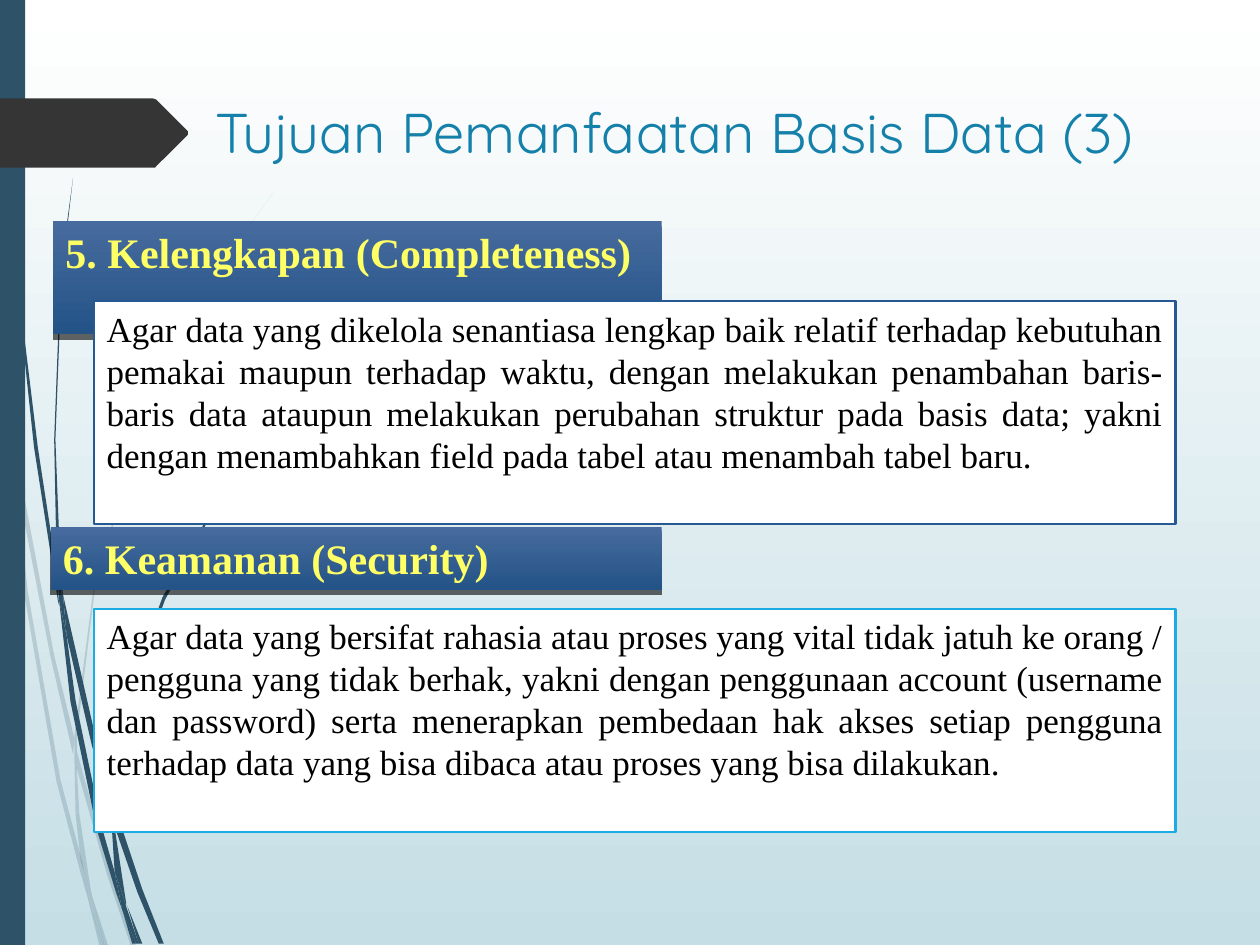
import dataclasses

import lxml.etree
import pptx
import pptx.dml.color
import pptx.enum.shapes
import pptx.enum.text
import pptx.oxml.ns
import pptx.util

Cm = pptx.util.Cm
ALIGN = pptx.enum.text.PP_ALIGN


@dataclasses.dataclass(frozen=True)
class Theme:
    sky: tuple = ("FFFFFF", "C5DEE5")
    banner: tuple = ("476B9E", "235387")
    stem: str = "2E5369"
    tag: str = "353535"
    title: str = "1581AA"
    heading: str = "FFFF66"
    body: str = "000000"
    paper: str = "FFFFFF"
    navy: str = "265991"
    cyan: str = "1CACE3"
    shadow: str = "000000"
    title_font: str = "Quicksand"
    text_font: str = "Times New Roman"
    title_size: int = 32
    heading_size: int = 24
    body_size: int = 20
    border: float = 1.25


THEME = Theme()
OUTLINE_UNIT = Cm(0.0254)

PALE_STEMS = (
    "8,350 6,322 0,282 0,299 7,344",
    "40,521 58,599 59,586 43,520 10,345 12,376",
    "64,607 61,596 61,610 85,694 104,751 108,751 88,692",
    "83,751 86,751 73,711",
    "65,683 48,619 22,469 12,376 8,350 19,470 45,621 64,693 70,714 69,707",
    "59,599 60,646 64,683 67,692 73,711 72,706 63,646 61,610 61,608",
    "61,584 76,462 111,349 159,245 186,198 201,175 217,153 201,175 186,197 "
    "158,244 110,348 75,461 59,584 59,586 61,596",
    "70,714 79,751 82,751",
    "61,608 61,610 61,596 59,586 59,599",
    "67,692 65,683 69,707 70,714 82,751 83,751 73,711",
)
DARK_STEMS = (
    "5,110 14,233 27,355 46,477 47,481 45,457 45,453 30,355 15,232 6,109 "
    "4,48 3,0 2,0 3,48",
    "73,592 88,645 88,633 88,631 77,590 50,472 53,505",
    "94,649 91,641 91,656 109,708 126,749 130,749 113,706",
    "91,692 81,657 60,556 53,505 47,477 56,557 77,659 92,708 97,722 96,717",
    "50,472 48,453 44,349 48,245 52,193 58,141 51,193 47,245 43,349 45,449 "
    "49,471",
    "110,749 113,749 101,719",
    "47,477 53,505 50,472 49,472 45,449 45,453",
    "91,633 103,552 131,476 169,406 191,374 203,359 216,344 203,358 191,373 "
    "168,405 129,474 101,551 88,631 91,641",
    "97,722 105,749 108,749",
    "88,645 91,692 96,706 100,719 100,716 91,657 90,651",
    "96,706 91,692 96,717 97,722 108,749 110,749 100,719",
)
TAG_OUTLINE = "149,107 124,132 123,133 121,133 0,133 0,78 121,78 124,79 149,104"

COMPLETENESS = (
    "Agar data yang dikelola senantiasa lengkap baik relatif terhadap kebutuhan "
    "pemakai maupun terhadap waktu, dengan melakukan penambahan baris-baris data "
    "ataupun melakukan perubahan struktur pada basis data; yakni dengan "
    "menambahkan field pada tabel atau menambah tabel baru."
)
SECURITY = (
    "Agar data yang bersifat rahasia atau proses yang vital tidak jatuh ke orang / "
    "pengguna yang tidak berhak, yakni dengan penggunaan account (username dan "
    "password) serta menerapkan pembedaan hak akses setiap pengguna terhadap data "
    "yang bisa dibaca atau proses yang bisa dilakukan."
)


def rgb(value):
    return pptx.dml.color.RGBColor.from_string(value)


def add_element(parent, tag, **attributes):
    return lxml.etree.SubElement(parent, pptx.oxml.ns.qn(tag), attributes)


def fill_solid(shape, color):
    shape.fill.solid()
    shape.fill.fore_color.rgb = rgb(color)
    shape.line.fill.background()
    shape.shadow.inherit = False


def fill_gradient(fill, colors):
    fill.gradient()
    fill.gradient_angle = 270
    for stop, color in zip(fill.gradient_stops, colors):
        stop.color.rgb = rgb(color)


def add_outline(shapes, outline, color, opacity=100):
    points = [tuple(map(int, pair.split(","))) for pair in outline.split()]
    builder = shapes.build_freeform(*points[0], scale=OUTLINE_UNIT)
    builder.add_line_segments(points[1:], close=True)
    shape = builder.convert_to_shape()
    fill_solid(shape, color)
    if opacity < 100:
        paint = shape._element.spPr.find(".//" + pptx.oxml.ns.qn("a:srgbClr"))
        add_element(paint, "a:alpha", val=str(opacity * 1000))


def add_stems(page, outlines, opacity):
    group = page.shapes.add_group_shape()
    for outline in outlines:
        add_outline(group.shapes, outline, THEME.stem, opacity)


def add_rectangle(page, left, top, width, height, color):
    kind = pptx.enum.shapes.MSO_SHAPE.RECTANGLE
    box = page.shapes.add_shape(kind, Cm(left), Cm(top), Cm(width), Cm(height))
    fill_solid(box, color)
    return box


def write_text(box, text, font, size, color, bold=False, align=ALIGN.LEFT):
    frame = box.text_frame
    frame.word_wrap = True
    frame.vertical_anchor = pptx.enum.text.MSO_ANCHOR.TOP
    paragraph = frame.paragraphs[0]
    paragraph.text = text
    paragraph.alignment = align
    paragraph.font.name = font
    paragraph.font.size = pptx.util.Pt(size)
    paragraph.font.bold = bold
    paragraph.font.color.rgb = rgb(color)


def add_title(page, text):
    box = page.shapes.add_textbox(Cm(4.09), Cm(1.85), Cm(20.68), Cm(3.56))
    write_text(box, text, THEME.title_font, THEME.title_size, THEME.title)


def add_heading(page, text, left, top, width, height):
    box = add_rectangle(page, left, top, width, height, THEME.banner[0])
    fill_gradient(box.fill, THEME.banner)
    effects = box._element.spPr.find(pptx.oxml.ns.qn("a:effectLst"))
    shadow = add_element(effects, "a:outerShdw", blurRad="0",
                         dist=str(pptx.util.Pt(3)), dir="5400000",
                         algn="ctr", rotWithShape="0")
    paint = add_element(shadow, "a:srgbClr", val=THEME.shadow)
    add_element(paint, "a:alpha", val="60000")
    write_text(box, text, THEME.text_font, THEME.heading_size, THEME.heading, bold=True)


def add_body(page, text, top, border):
    box = add_rectangle(page, 1.9, top, 21.8, 4.5, THEME.paper)
    box.line.color.rgb = rgb(border)
    box.line.width = pptx.util.Pt(THEME.border)
    write_text(box, text, THEME.text_font, THEME.body_size, THEME.body,
               align=ALIGN.JUSTIFY)


def main():
    deck = pptx.Presentation()
    deck.slide_width = Cm(25.4)
    deck.slide_height = Cm(19.05)
    page = deck.slides.add_slide(deck.slide_layouts[6])
    fill_gradient(page.background.fill, THEME.sky)

    add_stems(page, PALE_STEMS, 20)
    add_stems(page, DARK_STEMS, 100)
    add_rectangle(page, 0, 0, 0.51, 19.05, THEME.stem)
    add_outline(page.shapes, TAG_OUTLINE, THEME.tag)

    add_title(page, "Tujuan Pemanfaatan Basis Data (3)")
    add_heading(page, "5. Kelengkapan (Completeness)", 1.07, 4.45, 12.27, 2.29)
    add_body(page, COMPLETENESS, 6.07, THEME.navy)
    add_heading(page, "6. Keamanan (Security)", 1.02, 10.62, 12.32, 1.27)
    add_body(page, SECURITY, 12.27, THEME.cyan)
    deck.save("out.pptx")


if __name__ == "__main__":
    main()
